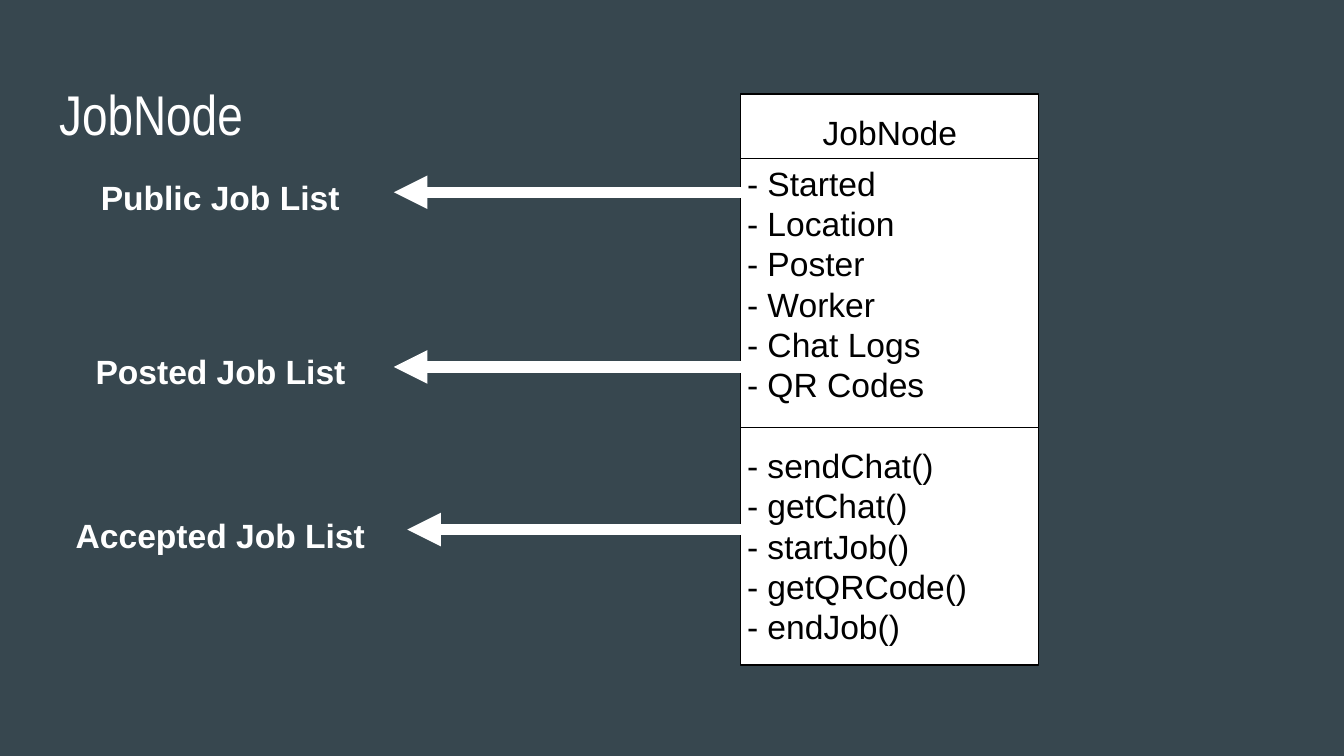
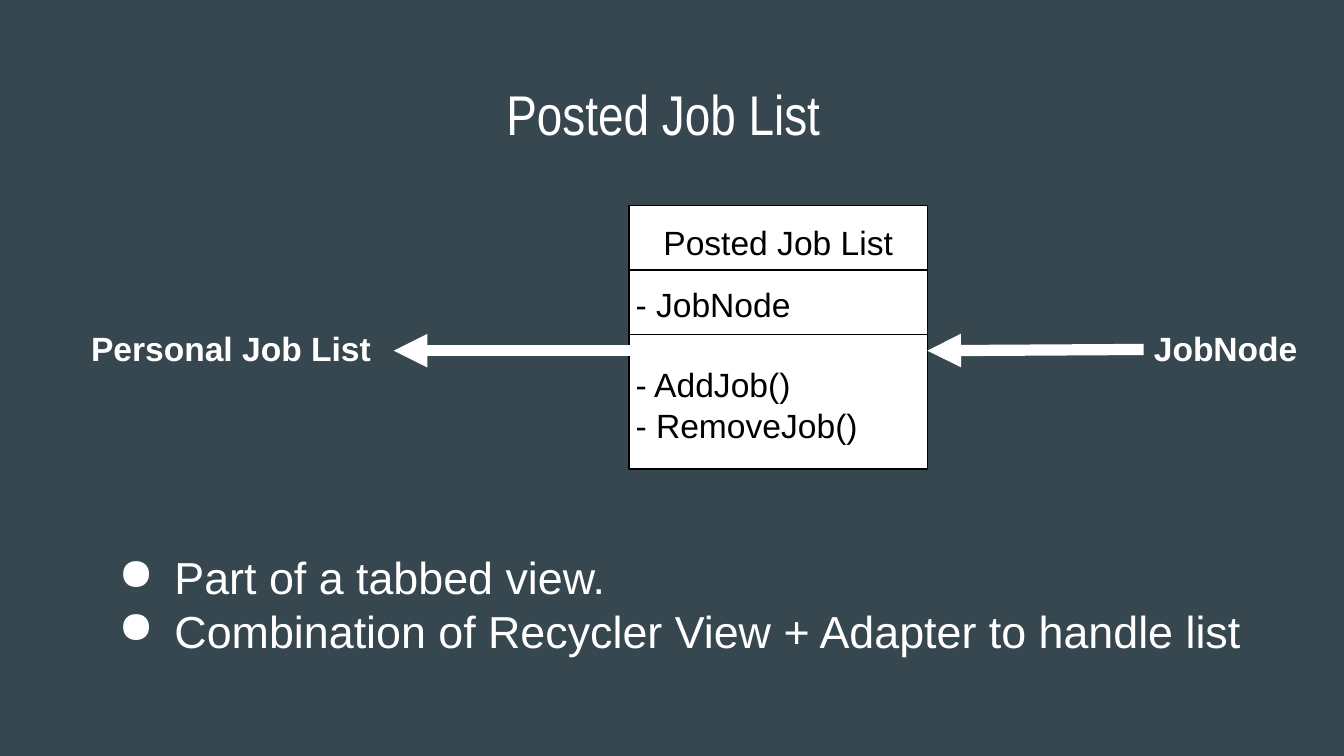
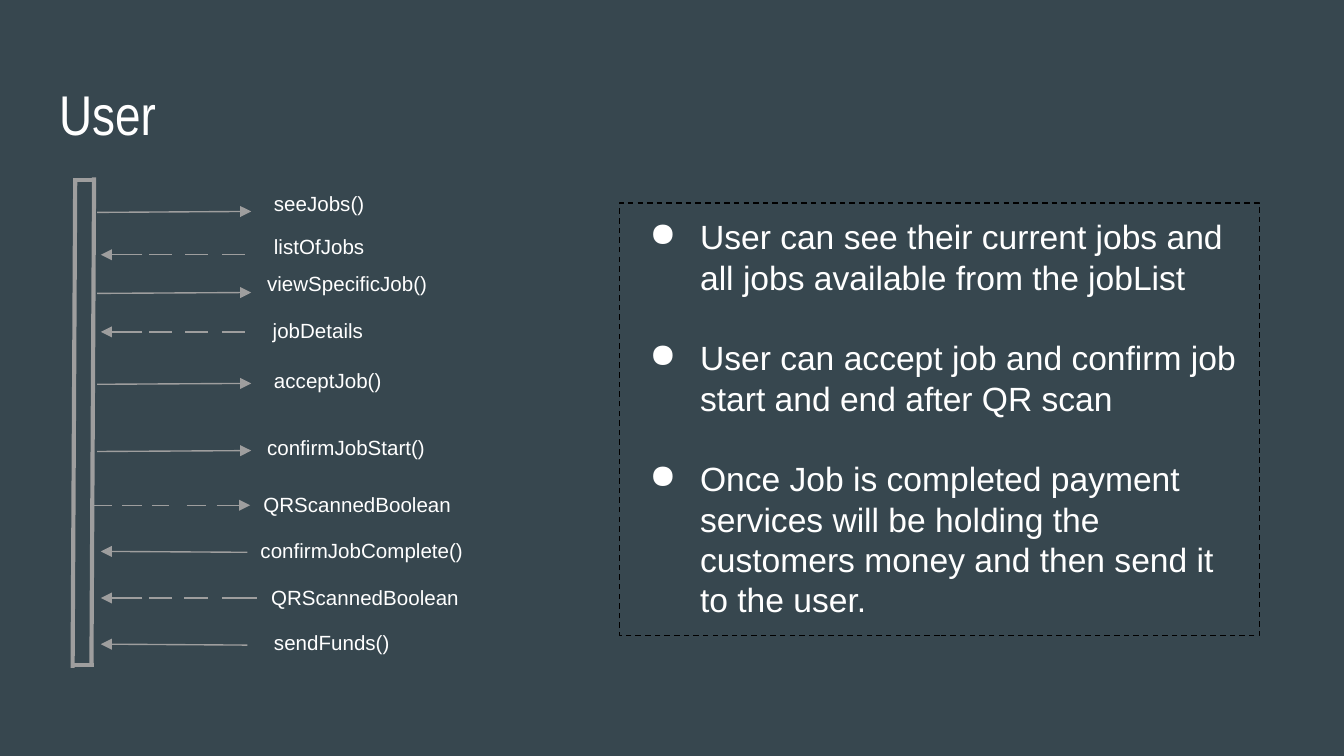
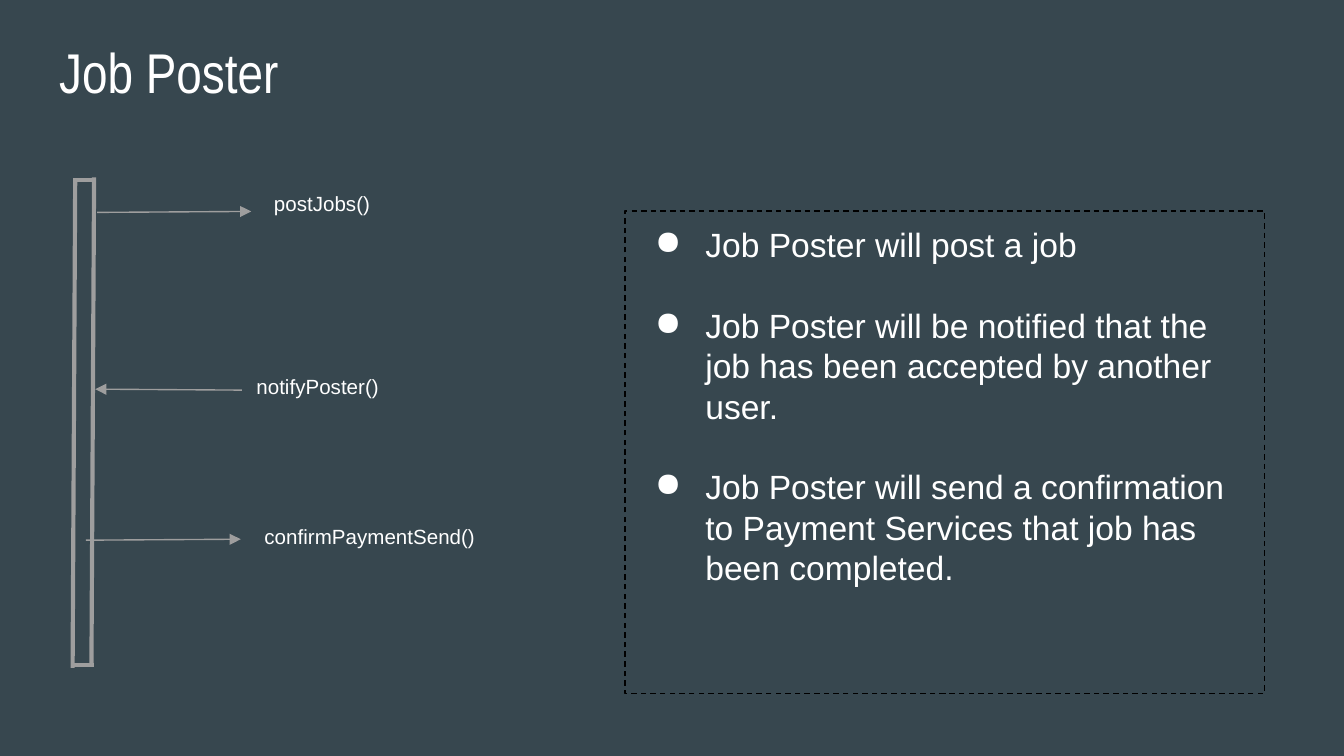
import pptx
import pptx.util
import pptx.dml.color
import pptx.enum.dml
import pptx.enum.shapes
import pptx.enum.text
import pptx.oxml
import pptx.oxml.ns
import lxml.etree

Pt = pptx.util.Pt
RGBColor = pptx.dml.color.RGBColor
ALIGN = pptx.enum.text.PP_ALIGN
RECT = pptx.enum.shapes.MSO_SHAPE.RECTANGLE
LINE = pptx.enum.shapes.MSO_CONNECTOR.STRAIGHT
qn = pptx.oxml.ns.qn

SLATE = RGBColor(0x37, 0x47, 0x4F)
WHITE = RGBColor(0xFF, 0xFF, 0xFF)
BLACK = RGBColor(0x00, 0x00, 0x00)
GRAY = RGBColor(0x9E, 0x9E, 0x9E)


def write(shape, lines, size, color, bold=False, align=ALIGN.LEFT,
          font="Arial", breaks=(), hang=0):
    """Fill a shape with paragraphs; breaks lists those set one line lower."""
    frame = shape.text_frame
    frame.word_wrap = True
    frame.auto_size = pptx.enum.text.MSO_AUTO_SIZE.NONE
    frame.vertical_anchor = pptx.enum.text.MSO_ANCHOR.TOP
    frame.margin_left = frame.margin_right = Pt(7.2)
    frame.margin_top = frame.margin_bottom = Pt(7.2)
    for i, text in enumerate(lines):
        par = frame.paragraphs[0] if i == 0 else frame.add_paragraph()
        par.text = text
        par.alignment = align
        par.space_before = Pt(size * 1.2 if i in breaks else 0)
        if hang:
            props = par._p.get_or_add_pPr()
            props.set("marL", str(Pt(36)))
            props.set("indent", str(-Pt(hang)))
            tint = lxml.etree.SubElement(props, qn("a:buClr"))
            lxml.etree.SubElement(tint, qn("a:srgbClr"), val=str(color))
            lxml.etree.SubElement(props, qn("a:buChar"), char="●")
        par.font.name = font
        par.font.size = Pt(size)
        par.font.bold = bold
        par.font.color.rgb = color


def connect(slide, ends, color, width, arrow=False):
    """Draw a straight line, with an arrowhead at its end if asked."""
    line = slide.shapes.add_connector(LINE, *map(Pt, ends))
    line.line.color.rgb = color
    line.line.width = Pt(width)
    if arrow:
        lxml.etree.SubElement(line.line._get_or_add_ln(),
                              qn("a:tailEnd"), type="triangle")
    lxml.etree.SubElement(line._element.spPr, qn("a:effectLst"))


deck = pptx.Presentation()
deck.slide_width, deck.slide_height = Pt(720), Pt(405)
back = deck.slide_master.background.fill
back.solid()
back.fore_color.rgb = SLATE

# Slides and titles: text, place, alignment
titles = [
    ("JobNode", (24.5, 35.3, 332.6, 45.4), ALIGN.LEFT),
    ("Posted Job List", (24.5, 35.3, 661.7, 45.4), ALIGN.CENTER),
    ("User", (24.5, 35.3, 671, 45.4), ALIGN.LEFT),
    ("Job Poster", (24.5, 13, 671, 54.7), ALIGN.LEFT),
]
slides = []
for text, place, align in titles:
    slide = deck.slides.add_slide(deck.slide_layouts[5])
    title = slide.shapes.title
    title.left, title.top, title.width, title.height = map(Pt, place)
    write(title, [text], 30, WHITE, align=align, font="Arial Narrow")
    slides.append(slide)
node, posted, user, poster = slides

# Class diagrams: left edge, (top, height) of bands, name, members
classes = [
    (node, 396.7, [(217.4, 139), (50.4, 34.6), (85, 144)],
     "JobNode", (405.4, 52.6, 142.6, 31),
     ["- Started", "- Location", "- Poster", "- Worker", "- Chat Logs",
      "- QR Codes", "- sendChat()", "- getChat()", "- startJob()",
      "- getQRCode()", "- endJob()"],
     (393.1, 79.9, 142.6, 269.3), [6]),
    (posted, 337, [(168.5, 82.8), (110.2, 34.6), (144.7, 34.6)],
     "Posted Job List", (345.6, 111.6, 142.6, 31),
     ["- JobNode", "- AddJob()", "- RemoveJob()"],
     (333.4, 144.7, 157, 93.6), [1]),
]
for slide, left, bands, name, spot, members, place, breaks in classes:
    for top, height in bands:
        band = slide.shapes.add_shape(RECT, Pt(left), Pt(top),
                                      Pt(159.8), Pt(height))
        band.shadow.inherit = False
        band.fill.solid()
        band.fill.fore_color.rgb = WHITE
        band.line.color.rgb = BLACK
        band.line.width = Pt(0.75)
    write(slide.shapes.add_textbox(*map(Pt, place)), members, 18, BLACK,
          breaks=breaks)
    write(slide.shapes.add_textbox(*map(Pt, spot)), [name], 18, BLACK,
          align=ALIGN.CENTER)

# Links of the classes: arrow ends, label, label place
links = [
    (node, (398.9, 103, 211, 103), "Public Job List", (41, 87.8, 154, 31)),
    (node, (398.9, 196.6, 211, 196.6), "Posted Job List",
     (38.2, 180.7, 160, 31)),
    (node, (405.4, 283.7, 218.2, 283.7), "Accepted Job List",
     (31.7, 268.6, 172.8, 31)),
    (posted, (398.9, 187.9, 211, 187.9), "Personal Job List",
     (37.4, 168.5, 172.8, 31)),
    (posted, (612.7, 187.2, 496.8, 187.9), "JobNode",
     (601.2, 168.5, 110.9, 31)),
]
for slide, ends, label, place in links:
    # The link into the class stops at its edge; the others start inside it
    connect(slide, ends, WHITE, 6, arrow=True)
    write(slide.shapes.add_textbox(*map(Pt, place)), [label], 18, WHITE,
          bold=True, align=ALIGN.CENTER)

write(posted.shapes.add_textbox(Pt(50.4), Pt(287.3), Pt(643), Pt(82.8)),
      ["Part of a tabbed view.",
       "Combination of Recycler View + Adapter to handle list"],
      24, WHITE, hang=30)

# Lifelines
rails = [(50.4, 95, 49, 356.4), (49.7, 96.5, 38.9, 96.5),
         (40.3, 96.5, 38.9, 357.8), (39.6, 356.4, 50.4, 356.4)]
for slide in (user, poster):
    for ends in rails:
        connect(slide, ends, GRAY, 2.25)

# Messages: label, its place, arrow height, strokes (the one with a head first)
CALL = [(52, 134.6)]
SEND = [(132.5, 54)]
REPLY = [(76.3, 54), (80, 92.2), (99.2, 111.6), (118.8, 131)]
SCAN = [(116, 134), (50.4, 59.8), (65.5, 76.3), (81.4, 90.7), (100, 110.2)]
CHECK = [(76.3, 54), (80, 92.2), (98.6, 111.6), (118.8, 137.5)]
calls = [
    (user, "seeJobs()", (139.7, 95, 136, 31), 113.8, CALL),
    (user, "listOfJobs", (139.7, 118, 124.6, 31.7), 136.5, REPLY),
    (user, "viewSpecificJob()", (136, 138.2, 151.2, 31), 157.2, CALL),
    (user, "jobDetails", (139, 163.4, 143.3, 25.2), 177.8, REPLY),
    (user, "acceptJob()", (139.7, 190, 143.3, 31), 205.9, CALL),
    (user, "confirmJobStart()", (136, 226, 143.3, 31), 241.9, CALL),
    (user, "QRScannedBoolean", (134, 256.3, 198, 25.2), 270.7, SCAN),
    (user, "confirmJobComplete()", (132.5, 280.8, 175.7, 25.2), 295.9, SEND),
    (user, "QRScannedBoolean", (138.2, 306, 163.4, 27.4), 320.4, CHECK),
    (user, "sendFunds()", (139.7, 330.5, 78.5, 34.6), 345.6, SEND),
    (poster, "postJobs()", (139.7, 95, 136, 31), 113.8, CALL),
    (poster, "notifyPoster()", (130.3, 193, 175.7, 25.2), 209, [(129.6, 51)]),
    (poster, "confirmPaymentSend()", (134.6, 273.6, 143.3, 31), 289.4,
     [(46, 129)]),
]
for slide, label, place, y, strokes in calls:
    tilt = 0.5 if len(strokes) == 1 else 0
    for i, (start, end) in enumerate(strokes):
        connect(slide, (start, y, end, y - tilt), GRAY, 0.75, arrow=i == 0)
    write(slide.shapes.add_textbox(*map(Pt, place)), [label], 11, WHITE)

# Dashed notes
notes = [
    (user, (332, 108.7, 342.7, 231.8), [
        "User can see their current jobs and all jobs available from the "
        "jobList",
        "User can accept job and confirm job start and end after QR scan",
        "Once Job is completed payment services will be holding the "
        "customers money and then send it to the user."]),
    (poster, (334.8, 113, 342.7, 258.5), [
        "Job Poster will post a job",
        "Job Poster will be notified that the job has been accepted by "
        "another user.",
        "Job Poster will send a confirmation to Payment Services that job "
        "has been completed."]),
]
for slide, place, lines in notes:
    note = slide.shapes.add_shape(RECT, *map(Pt, place))
    note.shadow.inherit = False
    note.fill.background()
    note.line.color.rgb = BLACK
    note.line.width = Pt(0.75)
    note.line.dash_style = pptx.enum.dml.MSO_LINE.DASH
    write(note, lines, 18, WHITE, breaks=[1, 2], hang=27)

deck.save("out.pptx")
